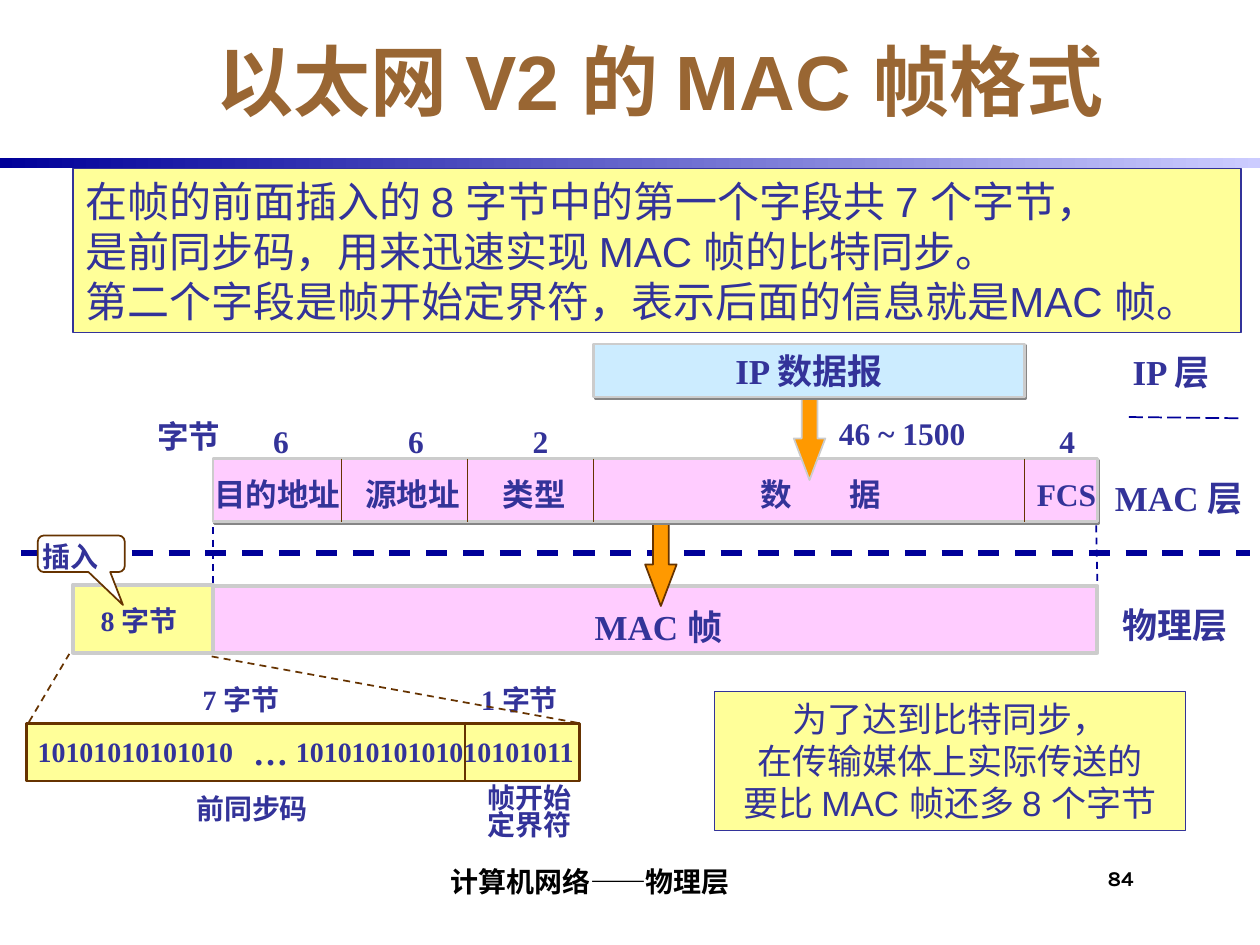
from typing import NamedTuple

from lxml.etree import SubElement
from pptx import Presentation
from pptx.dml.color import RGBColor
from pptx.enum.dml import MSO_LINE_DASH_STYLE as Dash
from pptx.enum.shapes import MSO_CONNECTOR, MSO_SHAPE as Shape
from pptx.enum.text import MSO_ANCHOR as Anchor, PP_ALIGN as Align
from pptx.oxml.ns import qn
from pptx.util import Inches, Pt

INK = RGBColor(0x33, 0x33, 0x99)
NAVY = RGBColor(0x00, 0x00, 0x99)
LAVENDER = RGBColor(0xCC, 0xCC, 0xFF)
BROWN = RGBColor(0x66, 0x33, 0x00)
TITLE_BROWN = RGBColor(0x99, 0x66, 0x33)
GRAY = RGBColor(0xCC, 0xCC, 0xCC)
PINK = RGBColor(0xFF, 0xCC, 0xFF)
YELLOW = RGBColor(0xFF, 0xFF, 0x99)
SKY = RGBColor(0xCC, 0xEC, 0xFF)
ORANGE = RGBColor(0xFF, 0x99, 0x00)
WHITE = RGBColor(0xFF, 0xFF, 0xFF)
BLACK = RGBColor(0x00, 0x00, 0x00)

SERIF = "Times New Roman"
LABEL_HEIGHT = {16: 0.36, 18: 0.40, 20: 0.43}
TWO_LINE_HEIGHT = 0.52


class Area(NamedTuple):
    left: float
    top: float
    width: float
    height: float


class Style(NamedTuple):
    size: float
    color: RGBColor = INK
    font: str = SERIF
    bold: bool = True
    align: Align = Align.LEFT
    anchor: Anchor = Anchor.TOP
    spacing: float = 1.0


class Label(NamedTuple):
    text: str
    left: float
    top: float
    width: float
    size: int = 18


class Rule(NamedTuple):
    x1: float
    y1: float
    x2: float
    y2: float
    color: RGBColor = BROWN
    weight: float = 1
    dash: Dash | None = None


STRIP = Area(1.69, 3.64, 7.02, 0.5)
FRAME = Area(1.69, 4.65, 7.02, 0.53)
PREAMBLE = Area(0.21, 5.74, 4.39, 0.46)

FIELD_EDGES = [2.71, 3.71, 4.71, 8.13]
FIELD_RULES = [Rule(x, STRIP.top, x, STRIP.top + STRIP.height) for x in FIELD_EDGES]
LAYER_RULES = [
    Rule(1.69, 4.09, 1.69, 4.65, NAVY, dash=Dash.DASH),
    Rule(8.70, 4.17, 8.71, 4.64, NAVY, dash=Dash.DASH),
    Rule(8.96, 3.31, 9.86, 3.32, NAVY, dash=Dash.LONG_DASH),
]
PREAMBLE_RULES = [
    Rule(3.69, 5.73, 3.69, 6.2),
    Rule(0.23, 5.73, 0.55, 5.19, dash=Dash.DASH),
    Rule(1.68, 5.21, 4.6, 5.74, dash=Dash.DASH),
]

FRAME_LABELS = [
    Label("MAC 帧", 4.62, 4.76, 1.35, 20),
    Label("物理层", 8.81, 4.74, 1.15, 20),
    Label("MAC 层", 8.75, 3.73, 1.28, 20),
    Label("IP 层", 8.89, 2.73, 0.95, 20),
]
FIELD_LABELS = [
    Label("目的地址", 1.6, 3.72, 1.25),
    Label("源地址", 2.8, 3.72, 1.05),
    Label("类型", 3.89, 3.72, 0.8),
    Label("数", 5.94, 3.72, 0.5),
    Label("据", 6.64, 3.72, 0.5),
    Label("FCS", 8.13, 3.72, 0.75),
    Label("6", 2.07, 3.3, 0.4),
    Label("6", 3.14, 3.3, 0.4),
    Label("2", 4.13, 3.3, 0.4),
    Label("4", 8.31, 3.3, 0.4),
    Label("字节", 1.15, 3.26, 0.8),
    Label("46 ~ 1500", 6.56, 3.24, 1.4),
]
PREAMBLE_LABELS = [
    Label("10101010101010", 0.2, 5.78, 1.85, 16),
    Label("10101010101010101011", 2.25, 5.78, 2.55, 16),
    Label("…", 1.91, 5.75, 0.55, 20),
    Label("前同步码", 1.46, 6.23, 1.2, 16),
    Label("帧开始\n定界符", 3.77, 6.2, 1.0, 16),
    Label("7 字节", 1.51, 5.37, 0.95, 16),
    Label("1 字节", 3.72, 5.37, 0.95, 16),
]


def write(shape, text: str, style: Style, wrap: bool = False) -> None:
    frame = shape.text_frame
    frame.word_wrap = wrap
    frame.vertical_anchor = style.anchor
    frame.text = text
    for para in frame.paragraphs:
        para.alignment = style.align
        para.line_spacing = style.spacing
        para.font.size = Pt(style.size)
        para.font.name = style.font
        para.font.bold = style.bold
        para.font.color.rgb = style.color


def add_text(page, area: Area, text: str, style: Style):
    box = page.shapes.add_textbox(*map(Inches, area))
    write(box, text, style)
    return box


def add_label(page, label: Label):
    two_lines = "\n" in label.text
    height = TWO_LINE_HEIGHT if two_lines else LABEL_HEIGHT[label.size]
    area = Area(label.left, label.top, label.width, height)
    return add_text(page, area, label.text,
                    Style(label.size, spacing=0.8 if two_lines else 1.0))


def add_block(page, area: Area, fill: RGBColor, line: RGBColor, weight: float,
              kind: Shape = Shape.RECTANGLE):
    block = page.shapes.add_shape(kind, *map(Inches, area))
    block.shadow.inherit = False
    block.fill.solid()
    block.fill.fore_color.rgb = fill
    block.line.color.rgb = line
    block.line.width = Pt(weight)
    return block


def cast_shadow(shape) -> None:
    """Give the shape a hard gray shadow to the lower right."""
    effects = shape._element.spPr.find(qn("a:effectLst"))
    shadow = SubElement(effects, qn("a:outerShdw"), dist="17780", dir="2700000",
                        algn="ctr", rotWithShape="0")
    SubElement(shadow, qn("a:srgbClr"), val="868686")


def add_rule(page, rule: Rule) -> None:
    ends = map(Inches, (rule.x1, rule.y1, rule.x2, rule.y2))
    line = page.shapes.add_connector(MSO_CONNECTOR.STRAIGHT, *ends)
    line.line.color.rgb = rule.color
    line.line.width = Pt(rule.weight)
    if rule.dash is not None:
        line.line.dash_style = rule.dash
    SubElement(line._element.spPr, qn("a:effectLst"))


def add_down_arrow(page, left: float, top: float, line: RGBColor) -> None:
    arrow = add_block(page, Area(left, top, 0.25, 0.67), ORANGE, line, 1, Shape.DOWN_ARROW)
    arrow.adjustments[1] = 1.32


def add_header(page) -> None:
    band = page.shapes.add_shape(Shape.RECTANGLE, 0, Inches(1.25), Inches(10), Inches(0.08))
    band.shadow.inherit = False
    band.line.fill.background()
    band.fill.gradient()
    band.fill.gradient_angle = 0
    for stop, color in zip(band.fill.gradient_stops, (NAVY, LAVENDER)):
        stop.color.rgb = color
    title = page.shapes.title
    title.left, title.top, title.width, title.height = map(Inches, (0.98, 0.21, 8.52, 0.84))
    write(title, "以太网 V2 的 MAC 帧格式",
          Style(44, TITLE_BROWN, "Arial", align=Align.CENTER, anchor=Anchor.MIDDLE), wrap=True)


def add_frame_layers(page) -> None:
    add_rule(page, Rule(0.17, 4.39, 9.92, 4.39, NAVY, 3, Dash.DASH))
    add_block(page, FRAME, PINK, GRAY, 2.25)
    for label in FRAME_LABELS:
        box = add_label(page, label)
        if label.text == "MAC 层":
            box.fill.solid()
            box.fill.fore_color.rgb = WHITE
    for rule in LAYER_RULES:
        add_rule(page, rule)
    add_down_arrow(page, 5.12, 4.14, BROWN)
    cast_shadow(add_block(page, STRIP, PINK, GRAY, 1.5))
    for rule in FIELD_RULES:
        add_rule(page, rule)
    for label in FIELD_LABELS:
        add_label(page, label)
    add_down_arrow(page, 6.3, 3.14, GRAY)
    datagram = add_block(page, Area(4.71, 2.73, 3.42, 0.42), SKY, GRAY, 1.5)
    cast_shadow(datagram)
    write(datagram, "IP 数据报", Style(20, align=Align.CENTER, anchor=Anchor.MIDDLE))


def add_preamble(page) -> None:
    add_block(page, PREAMBLE, YELLOW, BROWN, 1.5)
    for label in PREAMBLE_LABELS:
        add_label(page, label)
    for rule in PREAMBLE_RULES:
        add_rule(page, rule)
    add_block(page, Area(0.58, 4.64, 1.11, 0.54), YELLOW, GRAY, 2.25)
    add_label(page, Label("8 字节", 0.7, 4.74, 0.95, 16))
    callout = add_block(page, Area(0.3, 4.25, 0.69, 0.29), WHITE, BROWN, 1,
                        Shape.ROUNDED_RECTANGULAR_CALLOUT)
    callout.adjustments[0], callout.adjustments[1] = 0.48, 1.4
    add_label(page, Label("插入", 0.24, 4.23, 0.75, 16))


def add_notes_and_footer(page) -> None:
    intro = add_block(page, Area(0.58, 1.34, 9.27, 1.3), YELLOW, INK, 0.75)
    write(intro, "在帧的前面插入的 8 字节中的第一个字段共 7 个字节，\n"
                 "是前同步码，用来迅速实现 MAC 帧的比特同步。\n"
                 "第二个字段是帧开始定界符，表示后面的信息就是MAC 帧。",
          Style(24, font="Arial", bold=False))
    remark = add_block(page, Area(5.67, 5.49, 3.74, 1.1), YELLOW, INK, 0.75)
    write(remark, "为了达到比特同步，\n在传输媒体上实际传送的\n要比 MAC 帧还多 8 个字节",
          Style(20, font="Arial", bold=False, align=Align.CENTER))
    remark.text_frame.paragraphs[0].font.name = "Karla"
    footer = add_text(page, Area(2.08, 6.75, 5.17, 0.42), "计算机网络——物理层",
                      Style(16, BLACK, "Karla", align=Align.CENTER, anchor=Anchor.BOTTOM))
    number = add_text(page, Area(8.75, 6.83, 0.58, 0.42), "84", Style(12, BLACK, "Karla"))
    for box in (footer, number):
        frame = box.text_frame
        frame.margin_left, frame.margin_right = Inches(0.04), 0
    footer.text_frame.margin_top, footer.text_frame.margin_bottom = 0, Inches(0.04)
    number.text_frame.margin_top, number.text_frame.margin_bottom = Inches(0.04), 0


def main() -> None:
    deck = Presentation()
    deck.slide_width, deck.slide_height = Inches(10), Inches(7.5)
    page = deck.slides.add_slide(deck.slide_layouts[5])
    add_header(page)
    add_frame_layers(page)
    add_preamble(page)
    add_notes_and_footer(page)
    deck.save("out.pptx")


if __name__ == "__main__":
    main()
